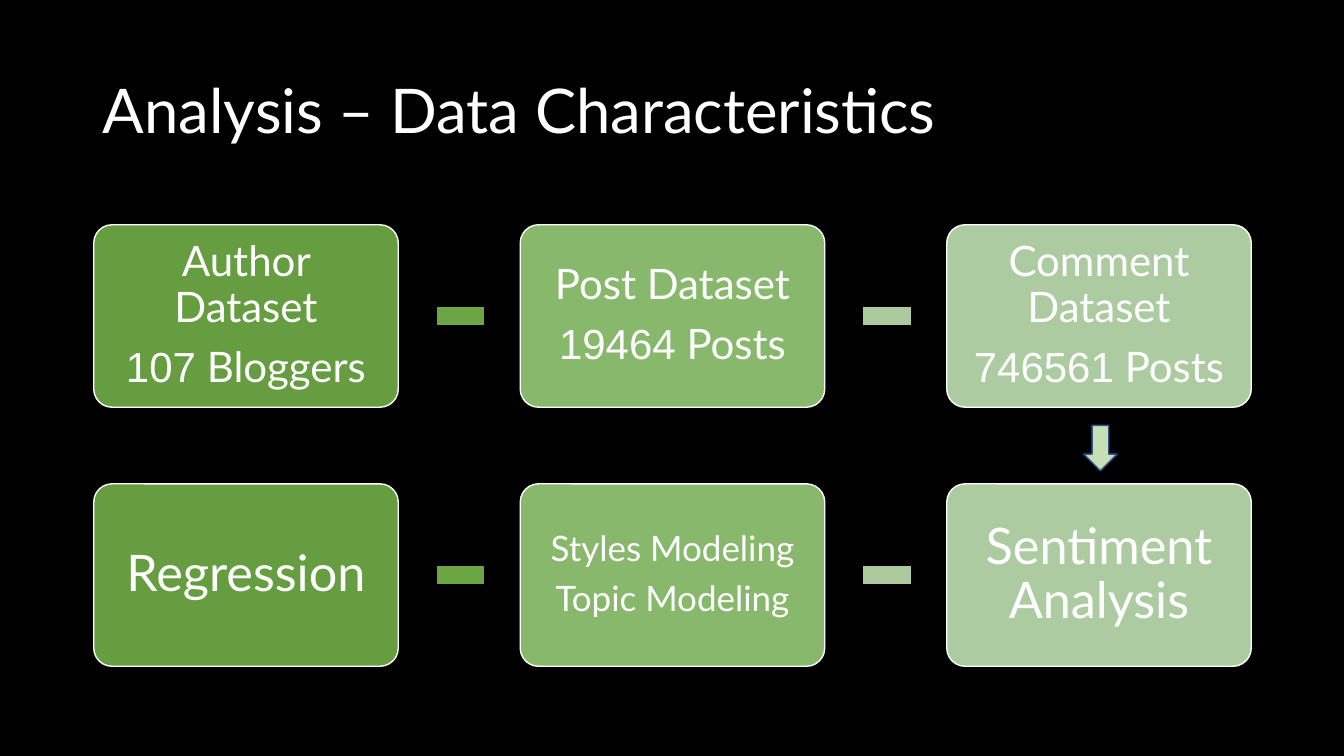
import pptx
import pptx.util
from pptx.dml.color import RGBColor
from pptx.enum.shapes import MSO_SHAPE
from pptx.enum.text import MSO_ANCHOR, PP_ALIGN
from pptx.util import Inches

BLACK = RGBColor(0x00, 0x00, 0x00)
WHITE = RGBColor(0xFF, 0xFF, 0xFF)
CARD_GREENS = [RGBColor(0x66, 0x9D, 0x40), RGBColor(0x87, 0xB8, 0x6B), RGBColor(0xAD, 0xCB, 0xA0)]
MINUS_GREENS = [RGBColor(0x6B, 0xA5, 0x44), RGBColor(0xAD, 0xCA, 0x9F)]
ARROW_GREEN = RGBColor(0xC5, 0xE0, 0xB4)
ARROW_EDGE = RGBColor(0x32, 0x54, 0x91)

TEXT_FONT = "Lato"
NUMBER_FONT = "Arial"

CARD_LEFT, CARD_PITCH = 0.93, 4.23
CARD_WIDTH, CARD_HEIGHT = 3.02, 1.81
DATASET_TOP, METHOD_TOP = 2.23, 4.8

# Each card: font size, inset, lines of text
DATASETS = [
    (30, 0.12, ["Author Dataset", "107 Bloggers"]),
    (30, 0.12, ["Post Dataset", "19464 Posts"]),
    (30, 0.12, ["Comment Dataset", "746561 Posts"]),
]
METHODS = [
    (36, 0.15, ["Regression"]),
    (25, 0.1, ["Styles Modeling", "Topic Modeling"]),
    (36, 0.15, ["Sentiment Analysis"]),
]


def add_run(paragraph, text, size, font=TEXT_FONT):
    run = paragraph.add_run()
    run.text = text
    run.font.name = font
    run.font.size = pptx.util.Pt(size)
    run.font.color.rgb = WHITE


def add_title(slide, text):
    title = slide.shapes.add_textbox(Inches(0.92), Inches(0.4), Inches(11.5), Inches(1.45))
    frame = title.text_frame
    frame.word_wrap = True
    frame.vertical_anchor = MSO_ANCHOR.MIDDLE
    frame.paragraphs[0].line_spacing = 0.9
    add_run(frame.paragraphs[0], text, 44)


def add_filled_shape(slide, preset, left, top, width, height, fill, edge=None):
    shape = slide.shapes.add_shape(preset, Inches(left), Inches(top), Inches(width), Inches(height))
    shape.shadow.inherit = False
    shape.fill.solid()
    shape.fill.fore_color.rgb = fill
    if edge is None:
        shape.line.fill.background()
    else:
        shape.line.color.rgb = edge
        shape.line.width = pptx.util.Pt(1)
    return shape


def write_lines(frame, lines, size, inset):
    """Centre the lines, with a leading number in its own font."""
    frame.word_wrap = True
    frame.vertical_anchor = MSO_ANCHOR.MIDDLE
    frame.margin_left = frame.margin_right = Inches(inset)
    frame.margin_top = frame.margin_bottom = Inches(inset)
    for index, line in enumerate(lines):
        paragraph = frame.add_paragraph() if index else frame.paragraphs[0]
        paragraph.alignment = PP_ALIGN.CENTER
        paragraph.line_spacing = 0.9
        paragraph.space_after = pptx.util.Pt(0.35 * size)
        words = line.lstrip("0123456789")
        number = line[:len(line) - len(words)]
        if number:
            add_run(paragraph, number, size, NUMBER_FONT)
        add_run(paragraph, words, size)


def add_card_row(slide, top, cards):
    """Draw a row of cards with a minus sign in each gap."""
    for column, (size, inset, lines) in enumerate(cards):
        left = CARD_LEFT + column * CARD_PITCH
        card = add_filled_shape(slide, MSO_SHAPE.ROUNDED_RECTANGLE, left, top,
                                CARD_WIDTH, CARD_HEIGHT, CARD_GREENS[column], WHITE)
        card.adjustments[0] = 0.1
        write_lines(card.text_frame, lines, size, inset)
    for gap, green in enumerate(MINUS_GREENS):
        add_filled_shape(slide, MSO_SHAPE.MATH_MINUS, 4.25 + gap * CARD_PITCH, top + 0.53,
                         0.64, 0.75, green)


def main():
    deck = pptx.Presentation()
    deck.slide_width = Inches(13.33)
    deck.slide_height = Inches(7.5)
    slide = deck.slides.add_slide(deck.slide_layouts[6])
    slide.background.fill.solid()
    slide.background.fill.fore_color.rgb = BLACK

    add_title(slide, "Analysis – Data Characteristics")
    add_card_row(slide, METHOD_TOP, METHODS)
    add_card_row(slide, DATASET_TOP, DATASETS)
    add_filled_shape(slide, MSO_SHAPE.DOWN_ARROW, 10.75, 4.22, 0.33, 0.45, ARROW_GREEN, ARROW_EDGE)
    deck.save("out.pptx")


if __name__ == "__main__":
    main()
